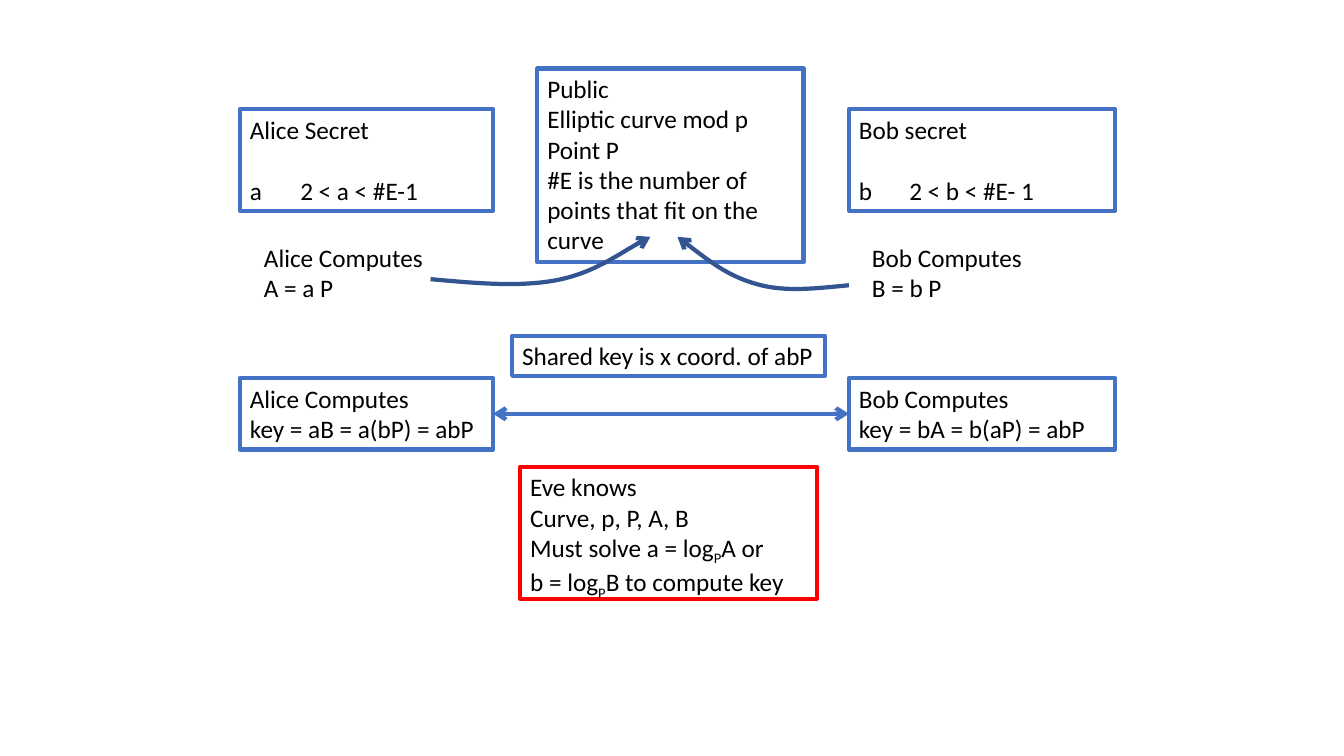
from lxml import etree
from pptx import Presentation
from pptx.dml.color import RGBColor
from pptx.enum.shapes import MSO_CONNECTOR, MSO_SHAPE
from pptx.enum.text import MSO_ANCHOR, MSO_AUTO_SIZE, PP_ALIGN
from pptx.oxml.ns import qn
from pptx.util import Inches, Pt

RECT = MSO_SHAPE.RECTANGLE
STRAIGHT = MSO_CONNECTOR.STRAIGHT
TOP = MSO_ANCHOR.TOP
LEFT = PP_ALIGN.LEFT
FIT, FIXED = MSO_AUTO_SIZE.SHAPE_TO_FIT_TEXT, MSO_AUTO_SIZE.NONE


class Theme:
    """Colours and type sizes of the slide."""
    ink = RGBColor.from_string("000000")
    blue = RGBColor.from_string("4472C4")
    navy = RGBColor.from_string("325491")
    red = RGBColor.from_string("FF0000")
    font = "Calibri"
    size = Pt(18)
    line = Pt(3)
    gap = Pt(22)


class Board:
    """Draws the parts of the key exchange on one slide."""

    def __init__(self, deck, theme):
        """Add a blank slide and keep the theme."""
        self.theme = theme
        self.slide = deck.slides.add_slide(deck.slide_layouts[6])
        self.shapes = self.slide.shapes

    def stroke(self, shape, color, ends=()):
        """Give a shape its line and arrowheads."""
        shape.line.color.rgb = color
        shape.line.width = self.theme.line
        line = shape._element.spPr.find(qn("a:ln"))
        for end in ends:
            etree.SubElement(line, qn(f"a:{end}"), type="arrow")

    def label(self, shape, rows, gap=None, wrap=True, size=FIT):
        """Fill a shape with rows, where underscores enclose subscripts."""
        frame = shape.text_frame
        form = {"word_wrap": wrap, "auto_size": size, "vertical_anchor": TOP}
        for key, value in form.items():
            setattr(frame, key, value)
        look = {"name": self.theme.font, "size": self.theme.size}
        for index, row in enumerate(rows):
            para = frame.add_paragraph() if index else frame.paragraphs[0]
            para.alignment = LEFT
            if index and gap:
                para.space_before = gap
            for part, text in enumerate(row.split("_")):
                run = para.add_run()
                run.text = text
                for key, value in look.items():
                    setattr(run.font, key, value)
                run.font.color.rgb = self.theme.ink
                if part % 2:
                    run._r.get_or_add_rPr().set("baseline", "-25000")

    def box(self, area, rows, color=None, **form):
        """Add a framed box of text."""
        shape = self.shapes.add_shape(RECT, *map(Inches, area))
        shape.shadow.inherit = False
        shape.fill.background()
        self.stroke(shape, color or self.theme.blue)
        self.label(shape, rows, **form)
        return shape

    def note(self, area, rows):
        """Add plain text without a frame."""
        self.label(self.shapes.add_textbox(*map(Inches, area)), rows)

    def link(self, left, right):
        """Join two boxes with a double arrow."""
        line = self.shapes.add_connector(STRAIGHT, 0, 0, 0, 0)
        line.begin_connect(left, 3)
        line.end_connect(right, 1)
        self.stroke(line, self.theme.blue, ("headEnd", "tailEnd"))
        etree.SubElement(line._element.spPr, qn("a:effectLst"))

    def curve(self, points):
        """Add a curved arrow from a start and triples of Bezier points."""
        spots = [(Inches(x), Inches(y)) for x, y in points]
        pen = self.shapes.build_freeform(*spots[0])
        pen.add_line_segments(spots[1:], close=False)
        shape = pen.convert_to_shape()
        shape.shadow.inherit = False
        shape.fill.background()
        self.stroke(shape, self.theme.navy, ("tailEnd",))
        track = shape._element.spPr.find(".//" + qn("a:path"))
        steps = track.findall(qn("a:lnTo"))
        for start in range(0, len(steps), 3):
            bend = etree.SubElement(track, qn("a:cubicBezTo"))
            for step in steps[start:start + 3]:
                bend.append(step[0])
                track.remove(step)


def main():
    """Build and save the slide."""
    deck = Presentation()
    deck.slide_width, deck.slide_height = Inches(13.33), Inches(7.5)
    theme = Theme()
    board = Board(deck, theme)

    people = (
        ("Alice", "Alice Secret", "a\t2 < a < #E-1", "A = a P",
         "key = aB = a(bP) = abP", 2.38, 2.51, 2.52),
        ("Bob", "Bob secret", "b\t2 < b < #E- 1", "B = b P",
         "key = bA = b(aP) = abP", 8.42, 2.64, 8.55),
    )
    board.box((5.33, 0.68, 2.64, 1.92), (
        "Public", "Elliptic curve mod p", "Point P",
        "#E is the number of points that fit on the curve"))
    keys = []
    for name, head, secret, point, key, left, width, inner in people:
        title = f"{name} Computes"
        board.box((left, 1.08, width, 1.01), (head, secret), gap=theme.gap)
        board.note((inner, 2.35, 2.64, 0.71), (title, point))
        keys.append(board.box((left, 3.75, width, 0.71), (title, key)))

    board.curve(((4.27, 2.77), (4.71, 2.81), (5.15, 2.85), (5.52, 2.78),
                 (5.88, 2.71), (6.21, 2.47), (6.45, 2.35)))
    board.curve(((8.42, 2.83), (8.1, 2.86), (7.79, 2.9), (7.51, 2.82),
                 (7.22, 2.74), (6.97, 2.54), (6.72, 2.35)))
    board.box((5.16, 4.63, 2.94, 1.31), (
        "Eve knows", "Curve, p, P, A, B", "Must solve a = log_P_A or",
        "b = log_P_B to compute key"), theme.red, size=FIXED)
    board.link(*keys)
    board.box((5.08, 3.33, 3.1, 0.4), ("Shared key is x coord. of abP",),
              wrap=False)
    deck.save("out.pptx")


if __name__ == "__main__":
    main()
